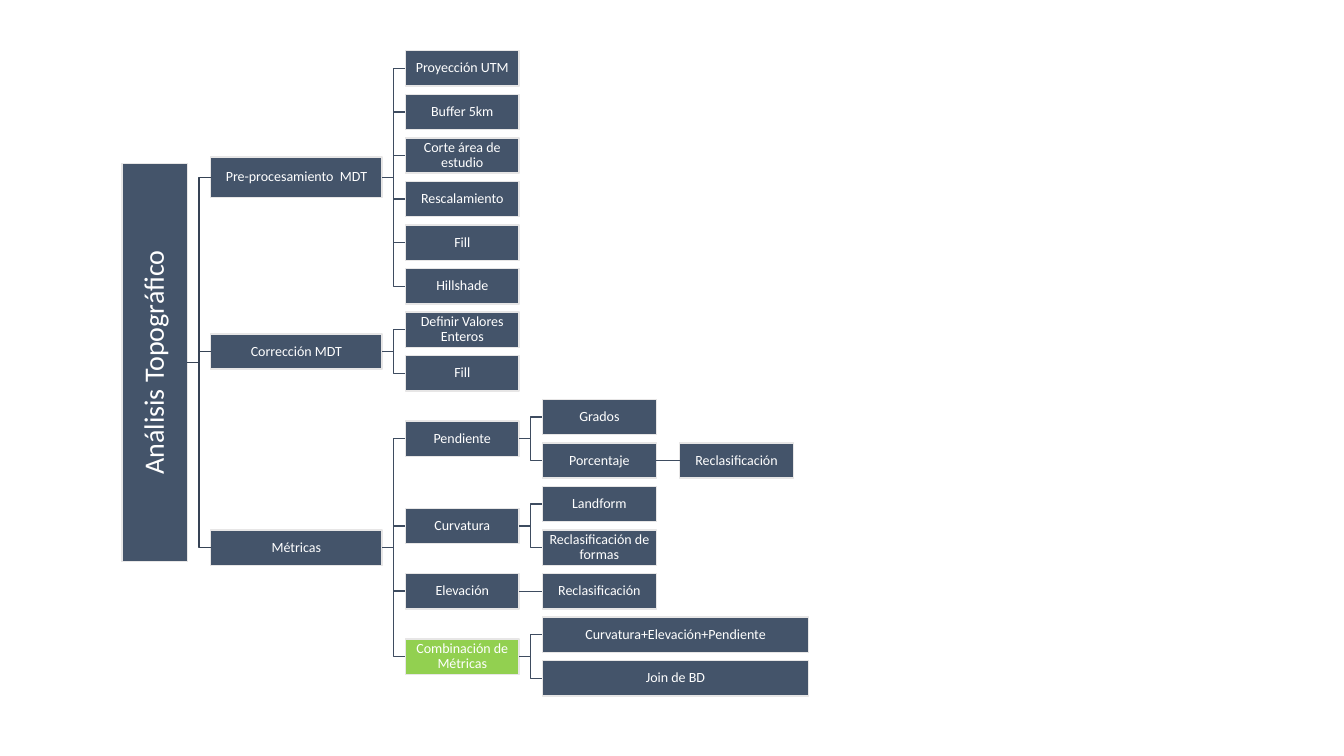
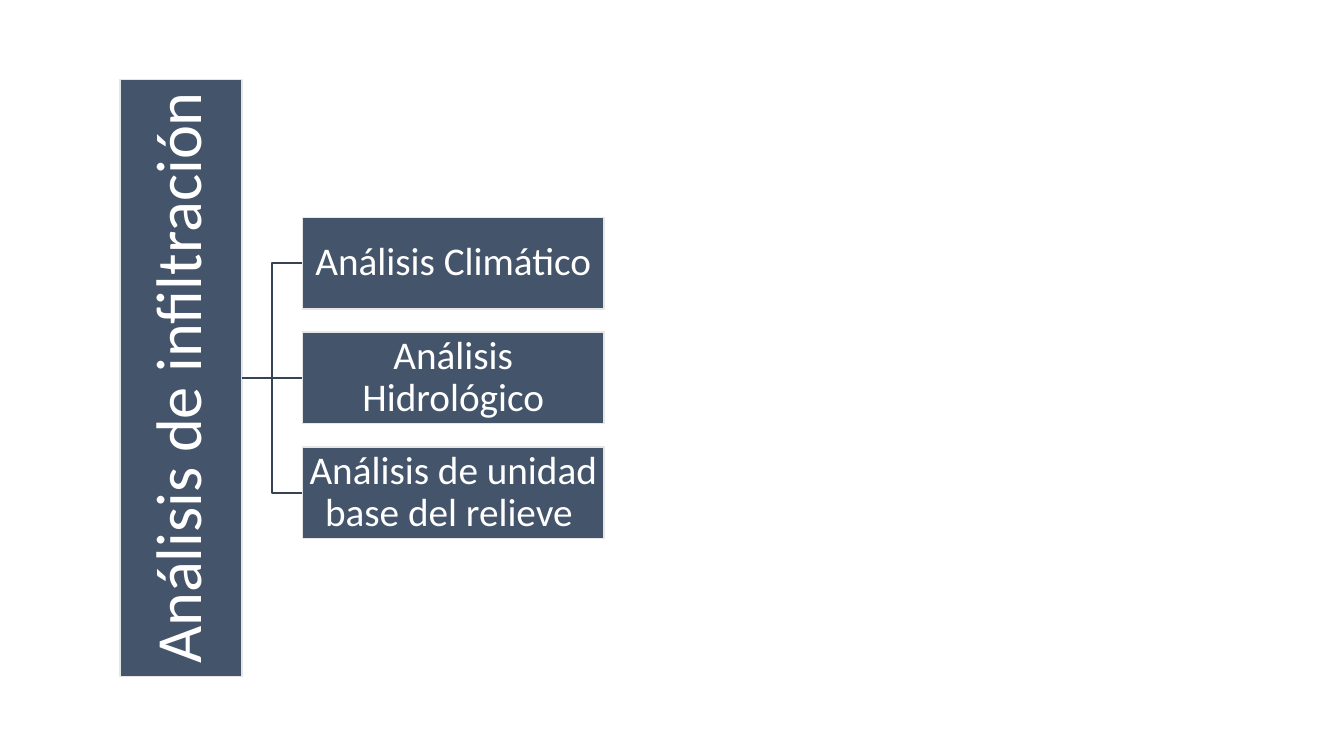
from itertools import accumulate

from lxml.etree import SubElement
from pptx import Presentation
from pptx.dml.color import RGBColor
from pptx.enum.shapes import MSO_CONNECTOR as Link, MSO_SHAPE as Preset
from pptx.enum.text import MSO_ANCHOR as Anchor, PP_ALIGN as Align
from pptx.oxml.ns import qn
from pptx.util import Inches, Pt

SLATE, GREEN, EDGE, WHITE = "44546A", "92D050", "E7E6E6", "FFFFFF"
ROOT_LINK, BRANCH_LINK = "364355", "3E4C60"
FONT = "Calibri"
RIGHT_SIDE, LEFT_SIDE = 3, 1


def paint(color_format, hex_code):
    color_format.rgb = RGBColor.from_string(hex_code)


def add_box(slide, text, left, middle, width, height, size, inset, fill):
    box = slide.shapes.add_shape(
        Preset.RECTANGLE, Inches(left), Inches(middle - height / 2), Inches(width), Inches(height))
    box.shadow.inherit = False
    box.fill.solid()
    paint(box.fill.fore_color, fill)
    paint(box.line.color, EDGE)
    box.line.width = Pt(1)
    frame = box.text_frame
    frame.word_wrap = True
    frame.vertical_anchor = Anchor.MIDDLE
    frame.margin_left = frame.margin_right = Inches(inset)
    frame.margin_top = frame.margin_bottom = Inches(inset)
    frame.text = text
    paragraph = frame.paragraphs[0]
    paragraph.alignment = Align.CENTER
    paragraph.line_spacing = 0.9
    font = paragraph.runs[0].font
    font.name, font.size = FONT, Pt(size)
    paint(font.color, WHITE)
    return box


topography = {
    "left": 1.21, "gap": 0.23, "widths": [0.65, 1.7, 1.13, 1.13, 1.13],
    "root_height": 3.95, "height": 0.35, "last_leaf": 6.73, "step": 0.43225,
    "root_size": 20, "size": 10, "inset": 0.01,
    "outline": [
        (0, "Análisis Topográfico", {}),
        (1, "Pre-procesamiento  MDT", {"height": 0.4}),
        (2, "Proyección UTM", {}),
        (2, "Buffer 5km", {}),
        (2, "Corte área de estudio", {}),
        (2, "Rescalamiento", {}),
        (2, "Fill", {}),
        (2, "Hillshade", {}),
        (1, "Corrección MDT", {}),
        (2, "Definir Valores Enteros", {}),
        (2, "Fill", {}),
        (1, "Métricas", {}),
        (2, "Pendiente", {}),
        (3, "Grados", {}),
        (3, "Porcentaje", {}),
        (4, "Reclasificación", {}),
        (2, "Curvatura", {}),
        (3, "Landform", {}),
        (3, "Reclasificación de formas", {}),
        (2, "Elevación", {}),
        (3, "Reclasificación", {}),
        (2, "Combinación de Métricas", {"fill": GREEN}),
        (3, "Curvatura+Elevación+Pendiente", {"width": 2.64}),
        (3, "Join de BD", {"width": 2.64}),
    ],
}
infiltration = {
    "left": 1.19, "gap": 0.6, "widths": [1.21, 2.99],
    "root_height": 5.92, "height": 0.91, "last_leaf": 4.89, "step": 1.14,
    "root_size": 46, "size": 28, "inset": 0.02,
    "outline": [
        (0, "Análisis de infiltración", {}),
        (1, "Análisis Climático", {}),
        (1, "Análisis Hidrológico", {}),
        (1, "Análisis de unidad base del relieve ", {}),
    ],
}

deck = Presentation()
deck.slide_width, deck.slide_height = Inches(13.33), Inches(7.5)

for tree in (topography, infiltration):
    slide = deck.slides.add_slide(deck.slide_layouts[6])
    lefts = list(accumulate((w + tree["gap"] for w in tree["widths"]), initial=tree["left"]))
    leaf_middle = tree["last_leaf"]
    waiting = {}
    for level, text, special in reversed(tree["outline"]):
        children = waiting.pop(level + 1, [])
        if children:
            middle = (children[0][1] + children[-1][1]) / 2
        else:
            middle = leaf_middle
            leaf_middle -= tree["step"]
        is_root = level == 0
        box = add_box(
            slide, text, lefts[level], middle,
            special.get("width", tree["widths"][level]),
            special.get("height", tree["root_height" if is_root else "height"]),
            tree["root_size" if is_root else "size"], tree["inset"],
            special.get("fill", SLATE))
        if is_root:
            box.text_frame._txBody.bodyPr.set("vert", "vert270")
        for child, child_middle in children:
            level_with_parent = abs(child_middle - middle) < 0.01
            link = slide.shapes.add_connector(
                Link.STRAIGHT if level_with_parent else Link.ELBOW, 0, 0, 0, 0)
            link.begin_connect(box, RIGHT_SIDE)
            link.end_connect(child, LEFT_SIDE)
            link.line.width = Pt(1)
            paint(link.line.color, ROOT_LINK if is_root else BRANCH_LINK)
            SubElement(link.element.spPr, qn("a:effectLst"))
        waiting.setdefault(level, []).append((box, middle))

deck.save("out.pptx")
